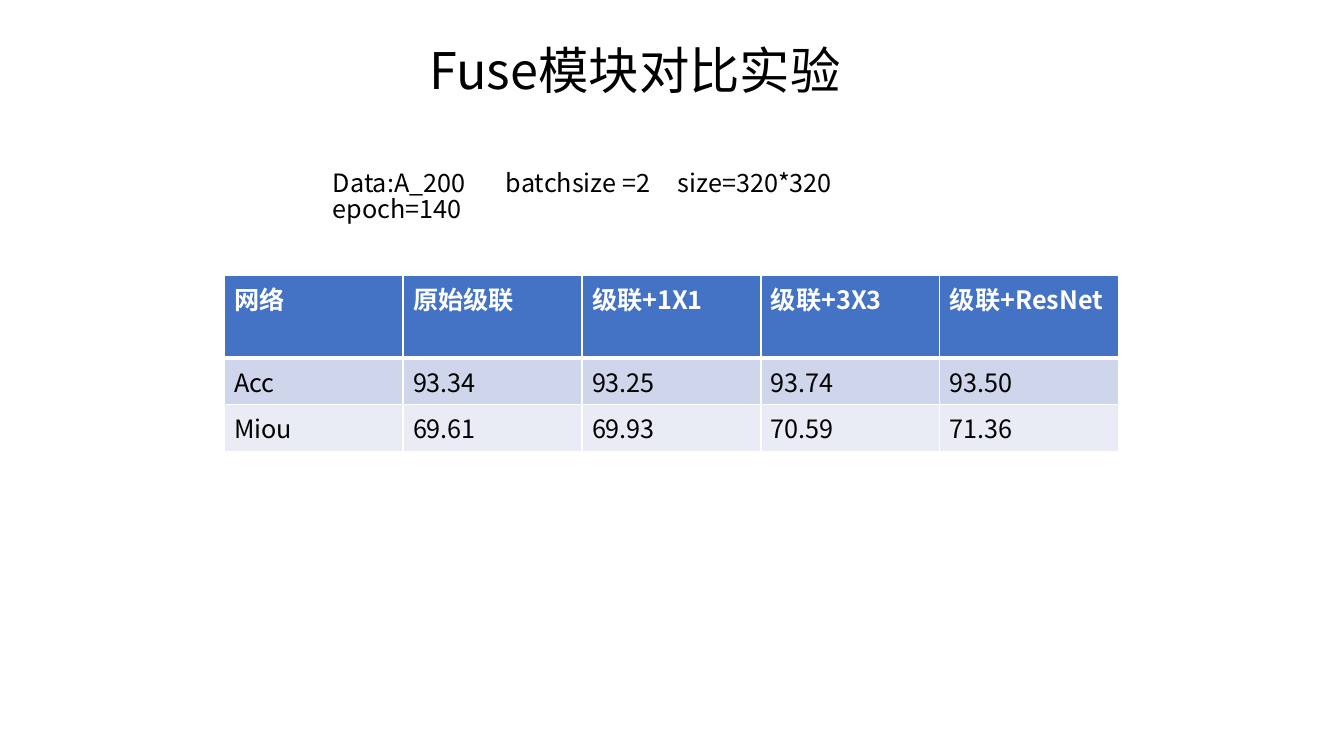
from lxml.etree import SubElement
from pptx import Presentation
from pptx.dml.color import RGBColor
from pptx.enum.text import MSO_ANCHOR, PP_ALIGN
from pptx.oxml.ns import qn
from pptx.util import Pt

PX = 12192000 / 1344
FONT = "Noto Sans CJK SC"
HEAD = "4472C4"
BANDS = ["CFD5EA", "E9EBF5"]
ROWS = [
    ["网络", "原始级联", "级联+1X1", "级联+3X3", "级联+ResNet"],
    ["Acc", "93.34", "93.25", "93.74", "93.50"],
    ["Miou", "69.61", "69.93", "70.59", "71.36"],
]


def px(n):
    return round(n * PX)


def rgb(code):
    return RGBColor.from_string(code)


def style(para, size, color="000000", bold=False):
    for run in para.runs:
        font = run.font
        font.name, font.size, font.bold = FONT, Pt(size), bold
        font.color.rgb = rgb(color)
        SubElement(run._r.get_or_add_rPr(), qn("a:ea"), typeface=FONT)


def place(shape, *box):
    shape.left, shape.top, shape.width, shape.height = map(px, box)


def add_title(slide, text):
    title = slide.shapes.title
    place(title, 131, 41, 1008, 112)
    frame = title.text_frame
    frame.text = text
    frame.vertical_anchor = MSO_ANCHOR.TOP
    para = frame.paragraphs[0]
    para.alignment = PP_ALIGN.CENTER
    para.line_spacing = 0.9
    style(para, 36)


def add_note(slide, text, stops):
    """Add a text box whose columns sit on tab stops."""
    box = slide.shapes.add_textbox(px(323), px(167), px(667), px(40))
    frame = box.text_frame
    frame.word_wrap = True
    frame.text = text
    para = frame.paragraphs[0]
    tabs = SubElement(para._p.get_or_add_pPr(), qn("a:tabLst"))
    for stop in stops:
        SubElement(tabs, qn("a:tab"), pos=str(px(stop)), algn="l")
    para.line_spacing = 0.85
    style(para, 18)


def edge(cell, side, width):
    props = cell._tc.get_or_add_tcPr()
    line = SubElement(props, qn("a:ln" + side), w=str(Pt(width)))
    fill = SubElement(line, qn("a:solidFill"))
    SubElement(fill, qn("a:srgbClr"), val="FFFFFF")


def add_grid(slide, rows):
    count = len(rows[0])
    frame = slide.shapes.add_table(
        len(rows), count, px(224), px(275), px(179 * count), px(41 * len(rows)))
    table = frame.table
    for r, row in enumerate(rows):
        head = r == 0
        table.rows[r].height = px(41)
        for c, text in enumerate(row):
            cell = table.cell(r, c)
            cell.text = text
            style(cell.text_frame.paragraphs[0], 18,
                  "FFFFFF" if head else "000000", head)
            top, base = (3 if r == 1 else 1), (3 if head else 1)
            for side, width in zip("LRTB", (1, 1, top, base)):
                edge(cell, side, width)
            cell.fill.solid()
            cell.fill.fore_color.rgb = rgb(HEAD if head else BANDS[r - 1])


def main():
    deck = Presentation()
    deck.slide_width, deck.slide_height = px(1344), px(756)
    slide = deck.slides.add_slide(deck.slide_layouts[5])
    add_grid(slide, ROWS)
    add_note(slide, "Data:A_200\tbatchsize =2\tsize=320*320\vepoch=140", [173, 345])
    add_title(slide, "Fuse模块对比实验")
    deck.save("out.pptx")


if __name__ == "__main__":
    main()
